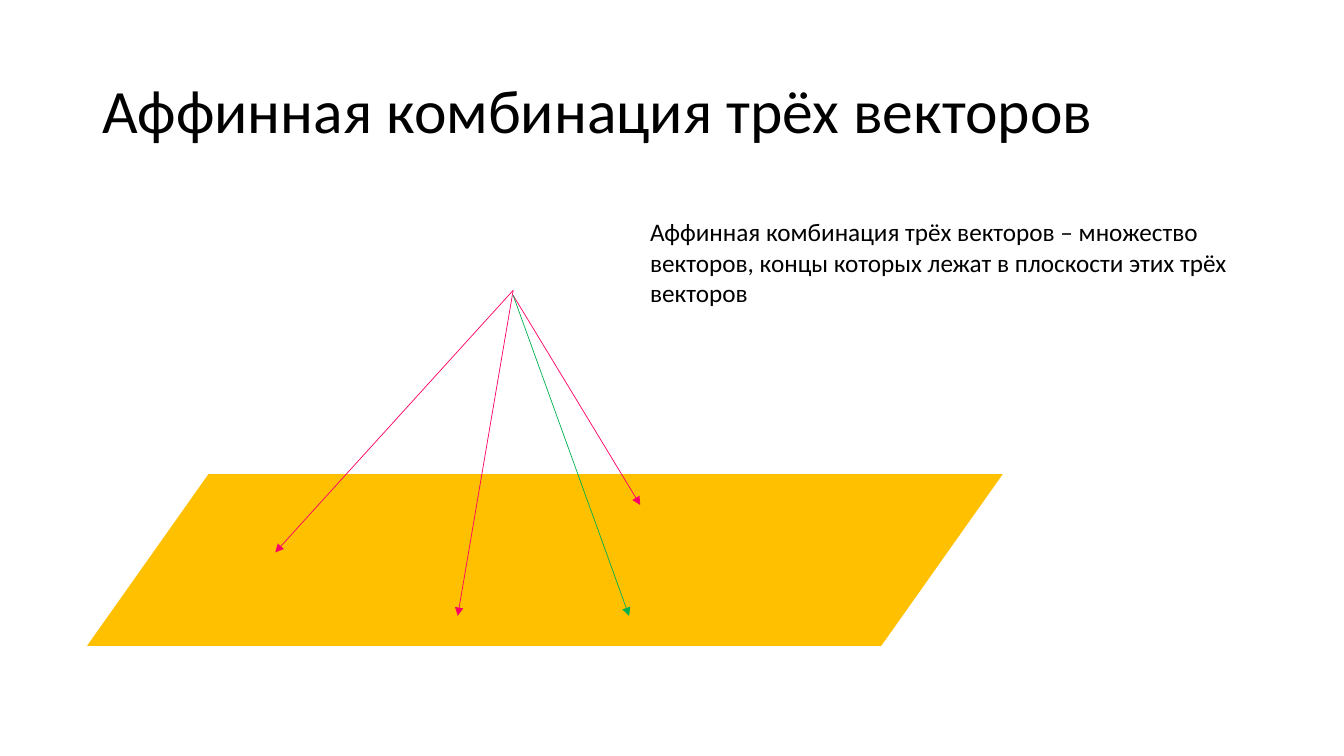
from lxml import etree
from pptx import Presentation
from pptx.dml.color import RGBColor
from pptx.enum.shapes import MSO_CONNECTOR, MSO_SHAPE
from pptx.enum.text import MSO_ANCHOR, PP_ALIGN
from pptx.oxml.ns import qn
from pptx.util import Inches, Pt

BLACK = RGBColor(0x00, 0x00, 0x00)
WHITE = RGBColor(0xFF, 0xFF, 0xFF)
AMBER = RGBColor(0xFF, 0xC0, 0x00)
PINK = RGBColor(0xFF, 0x00, 0x66)
GREEN = RGBColor(0x00, 0xB0, 0x50)


def add_text(paragraph, text, size):
    paragraph.alignment = PP_ALIGN.LEFT
    run = paragraph.add_run()
    run.text = text
    run.font.name = "Calibri"
    run.font.size = Pt(size)
    run.font.color.rgb = BLACK


prs = Presentation()
prs.slide_width = Inches(13.33)
prs.slide_height = Inches(7.5)
slide = prs.slides.add_slide(prs.slide_layouts[5])
shapes = slide.shapes

# Title
title = shapes.title
title.left, title.top = Inches(0.92), Inches(0.4)
title.width, title.height = Inches(11.5), Inches(1.45)
title.text_frame.vertical_anchor = MSO_ANCHOR.MIDDLE
heading = title.text_frame.paragraphs[0]
heading.line_spacing = 0.9
add_text(heading, "Аффинная комбинация трёх векторов", 44)

# Plane through the ends of the vectors
plane = shapes.add_shape(MSO_SHAPE.PARALLELOGRAM, Inches(0.84), Inches(4.69),
                         Inches(9.13), Inches(1.73))
plane.adjustments[0] = 0.707
plane.shadow.inherit = False
plane.fill.solid()
plane.fill.fore_color.rgb = AMBER
plane.line.color.rgb = WHITE
plane.line.width = Pt(1.5)

# Three given vectors and their affine combination: start y, end x, end y
APEX_X = 5.09
vectors = [
    (2.88, 2.73, 5.48, PINK),
    (2.88, 4.54, 6.11, PINK),
    (2.93, 6.35, 5.01, PINK),
    (2.93, 6.24, 6.11, GREEN),
]
for start_y, end_x, end_y, color in vectors:
    vector = shapes.add_connector(MSO_CONNECTOR.STRAIGHT, Inches(APEX_X), Inches(start_y),
                                  Inches(end_x), Inches(end_y))
    vector.line.color.rgb = color
    vector.line.width = Pt(0.5)
    etree.SubElement(vector.line._get_or_add_ln(), qn("a:tailEnd"), type="triangle")
    etree.SubElement(vector._element.spPr, qn("a:effectLst"))

# Definition
definition = shapes.add_textbox(Inches(6.35), Inches(2.1), Inches(6.06), Inches(1.01))
definition.text_frame.word_wrap = True
add_text(definition.text_frame.paragraphs[0],
         "Аффинная комбинация трёх векторов – множество векторов, "
         "концы которых лежат в плоскости этих трёх векторов", 18)

prs.save("out.pptx")
